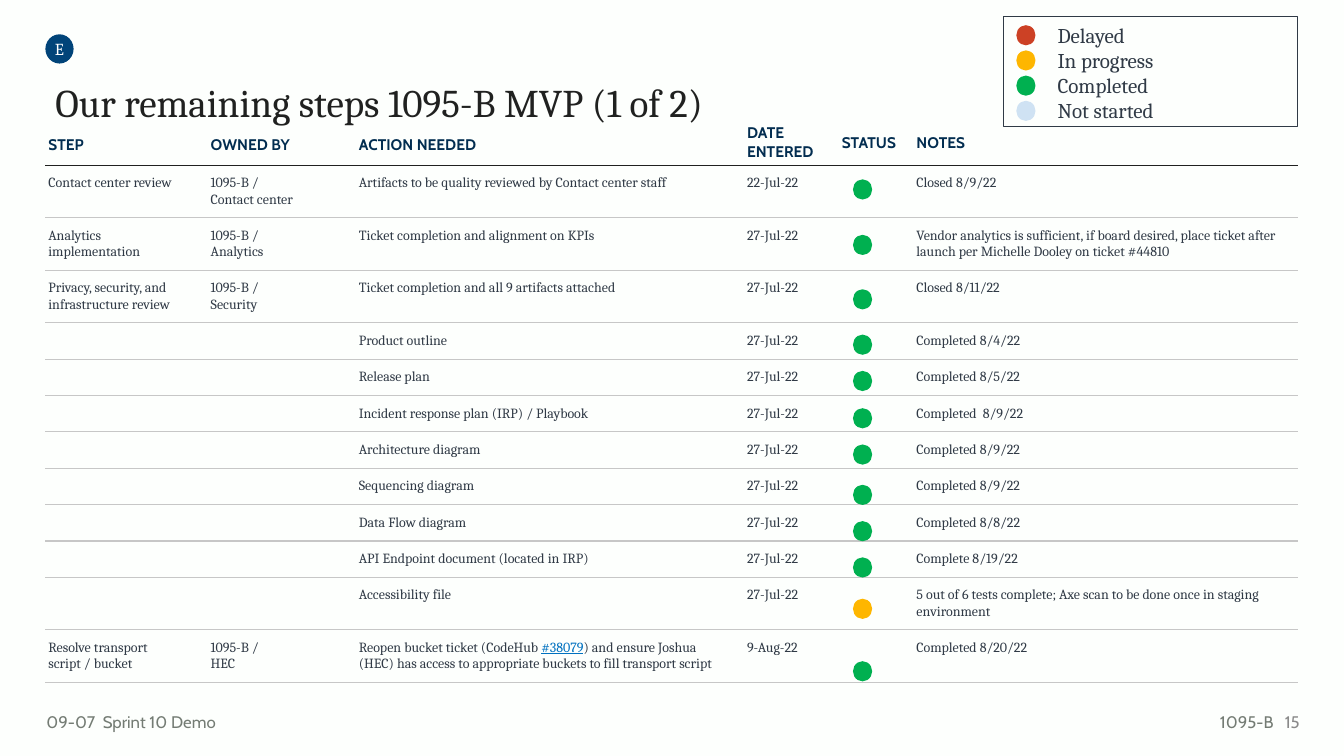
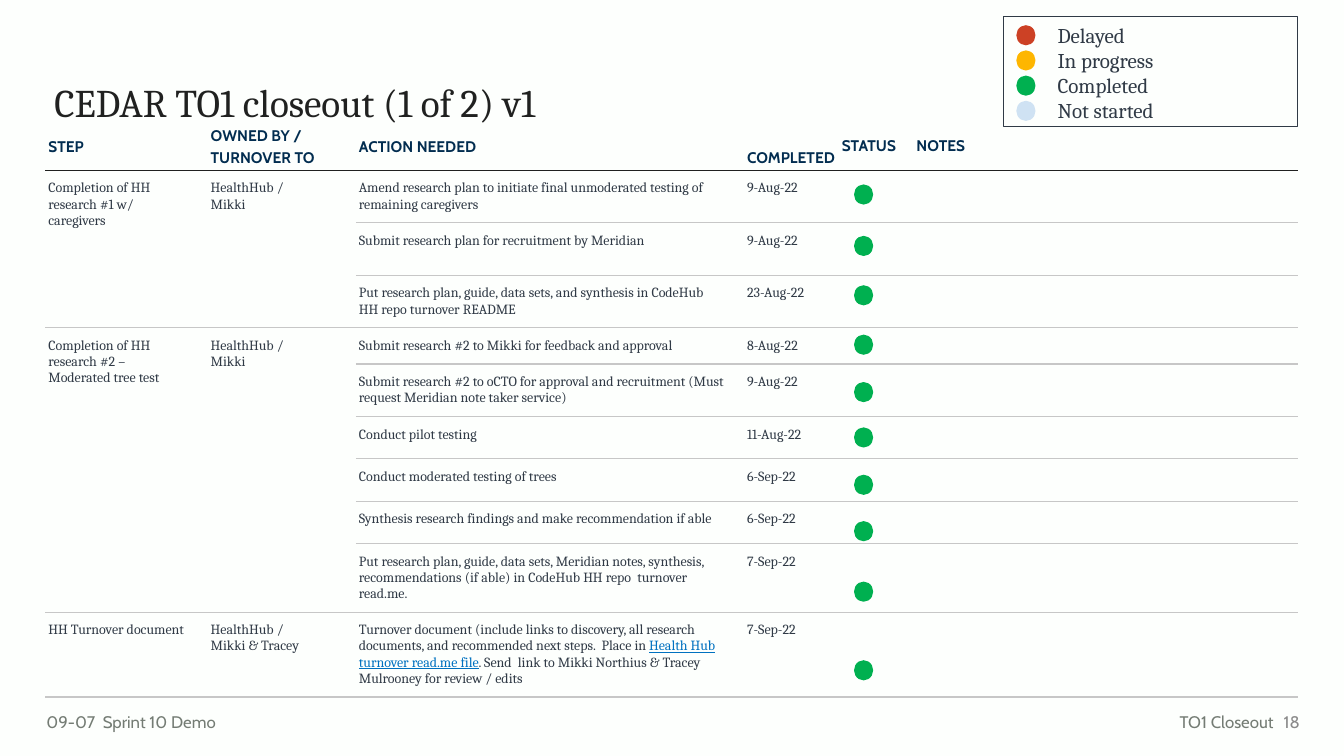
from dataclasses import dataclass
from typing import Optional

from lxml import etree
from pptx import Presentation
from pptx.dml.color import RGBColor
from pptx.enum import shapes, text
from pptx.oxml import ns
from pptx.util import Inches, Pt

COLOURS = {
    "background": "FDFFFD", "title": "202120", "body": "303A46", "header": "022D50",
    "link": "0071C0", "footer": "747C74", "number": "8A8A8A", "badge": "014479",
    "white": "FFFFFF", "rule": "C7C7C7", "delayed": "CC4125", "progress": "FEB600",
    "completed": "00B050", "waiting": "CFE2F3",
}
SERIF, SANS = "Cambria", "Cabin"
LEGEND = {"Delayed": "delayed", "In progress": "progress",
          "Completed": "completed", "Not started": "waiting"}
COLUMN_WIDTHS = (1.61, 1.47, 3.85, 0.94, 0.67, 3.88)
TABLE_LEFT, TABLE_TOP = 0.45, 1.2
NO_GRID_STYLE = "{2D5ABB26-0587-4C30-8999-92F81FD0307C}"
TOP, MIDDLE, BOTTOM = (text.MSO_ANCHOR.TOP, text.MSO_ANCHOR.MIDDLE,
                       text.MSO_ANCHOR.BOTTOM)
LEFT, CENTER, RIGHT = text.PP_ALIGN.LEFT, text.PP_ALIGN.CENTER, text.PP_ALIGN.RIGHT


@dataclass(frozen=True)
class Style:
    size: float
    font: str
    colour: str
    bold: bool = False
    underline: bool = False


TITLE = Style(28, SERIF, "title")
HEADER = Style(11, SANS, "header", bold=True)
BODY = Style(10, SERIF, "body")
LINK = Style(10, SERIF, "link", underline=True)
FOOTER = Style(12, SANS, "footer")
NUMBER = Style(12, SANS, "number")
BADGE = Style(12, SERIF, "white")
LEGEND_TEXT = Style(15, SERIF, "body")


@dataclass(frozen=True)
class Step:
    """One table row; dot_top places its status dot, span merges step and owner down."""
    height: float
    dot_top: float
    action: str
    date: str
    step: str = ""
    owner: str = ""
    notes: str = ""
    status: str = "completed"
    link: str = ""
    span: int = 1


@dataclass(frozen=True)
class StepSlide:
    title: str
    title_left: float
    section: str
    number: str
    owner_header: str
    date_header: str
    date_anchor: text.MSO_ANCHOR
    header_height: float
    dot_left: float
    steps: tuple[Step, ...]
    badge: Optional[str] = None


JULY = "27-Jul-22"
MVP = StepSlide(
    "Our remaining steps 1095-B MVP (1 of 2)", 0.45, "1095-B", "15",
    "OWNED BY", "DATE\nENTERED", TOP, 0.44, 8.46,
    (
        Step(0.52, 1.78, "Artifacts to be quality reviewed by Contact center staff", "22-Jul-22",
             "Contact center review", "1095-B /\nContact center", "Closed 8/9/22"),
        Step(0.52, 2.33, "Ticket completion and alignment on KPIs", JULY,
             "Analytics implementation", "1095-B /\nAnalytics",
             "Vendor analytics is sufficient, if board desired, place ticket after launch "
             "per Michelle Dooley on ticket #44810"),
        Step(0.52, 2.87, "Ticket completion and all 9 artifacts attached", JULY,
             "Privacy, security, and infrastructure review", "1095-B /\nSecurity",
             "Closed 8/11/22"),
        Step(0.36, 3.32, "Product outline", JULY, notes="Completed 8/4/22"),
        Step(0.36, 3.68, "Release plan", JULY, notes="Completed 8/5/22"),
        Step(0.36, 4.05, "Incident response plan (IRP) / Playbook", JULY,
             notes="Completed  8/9/22"),
        Step(0.36, 4.41, "Architecture diagram", JULY, notes="Completed 8/9/22"),
        Step(0.36, 4.81, "Sequencing diagram", JULY, notes="Completed 8/9/22"),
        Step(0.36, 5.17, "Data Flow diagram", JULY, notes="Completed 8/8/22"),
        Step(0.36, 5.53, "API Endpoint document (located in IRP)", JULY,
             notes="Complete 8/19/22"),
        Step(0.52, 5.94, "Accessibility file", JULY, status="progress",
             notes="5 out of 6 tests complete; Axe scan to be done once in staging environment"),
        Step(0.52, 6.56, "Reopen bucket ticket (CodeHub #38079) and ensure Joshua (HEC) "
             "has access to appropriate buckets to fill transport script", "9-Aug-22",
             "Resolve transport script / bucket", "1095-B /\nHEC", "Completed 8/20/22",
             link="#38079"),
    ),
    badge="E",
)
CLOSEOUT = StepSlide(
    "CEDAR TO1 closeout (1 of 2) v1", 0.44, "TO1 Closeout", "18",
    "OWNED BY / TURNOVER TO", "COMPLETED", BOTTOM, 0.48, 8.47,
    (
        Step(0.52, 1.83, "Amend research plan to initiate final unmoderated testing of "
             "remaining caregivers", "9-Aug-22", "Completion of HH research #1 w/ caregivers",
             "HealthHub /\nMikki", span=3),
        Step(0.52, 2.34, "Submit research plan for recruitment by Meridian", "9-Aug-22"),
        Step(0.52, 2.83, "Put research plan, guide, data sets, and synthesis in CodeHub HH "
             "repo turnover README", "23-Aug-22"),
        Step(0.36, 3.32, "Submit research #2 to Mikki for feedback and approval", "8-Aug-22",
             "Completion of HH research #2 – Moderated tree test", "HealthHub /\nMikki", span=6),
        Step(0.52, 3.79, "Submit research #2 to oCTO for approval and recruitment (Must "
             "request Meridian note taker service)", "9-Aug-22"),
        Step(0.42, 4.24, "Conduct pilot testing", "11-Aug-22"),
        Step(0.42, 4.71, "Conduct moderated testing of trees", "6-Sep-22"),
        Step(0.42, 5.17, "Synthesis research findings and make recommendation if able",
             "6-Sep-22"),
        Step(0.68, 5.77, "Put research plan, guide, data sets, Meridian notes, synthesis, "
             "recommendations (if able) in CodeHub HH repo  turnover read.me.", "7-Sep-22"),
        Step(0.84, 6.55, "Turnover document (include links to discovery, all research "
             "documents, and recommended next steps.  Place in Health Hub turnover read.me "
             "file. Send  link to Mikki Northius & Tracey Mulrooney for review / edits",
             "7-Sep-22", "HH Turnover document", "HealthHub /\nMikki & Tracey",
             link="Health Hub turnover read.me file"),
    ),
)


def rgb(name: str) -> RGBColor:
    return RGBColor.from_string(COLOURS[name])


def add_run(paragraph, content: str, style: Style) -> None:
    run = paragraph.add_run()
    run.text = content
    font = run.font
    font.size, font.name = Pt(style.size), style.font
    font.bold, font.underline = style.bold, style.underline
    font.color.rgb = rgb(style.colour)


def write(frame, content: str, style: Style, align=LEFT, spacing: float = 1.0,
          link: str = "") -> None:
    """Write one paragraph per line, with the link part in the link style."""
    for index, line in enumerate(content.split("\n")):
        paragraph = frame.add_paragraph() if index else frame.paragraphs[0]
        paragraph.alignment, paragraph.line_spacing = align, spacing
        before, found, after = line.partition(link) if link else (line, "", "")
        for part, part_style in ((before, style), (found, LINK), (after, style)):
            if part:
                add_run(paragraph, part, part_style)


def set_margins(box, left: float, top: float, right: float, bottom: float) -> None:
    box.margin_left, box.margin_top = Inches(left), Inches(top)
    box.margin_right, box.margin_bottom = Inches(right), Inches(bottom)


def add_text(slide, left: float, top: float, width: float, height: float, content: str,
             style: Style, align=LEFT, anchor=TOP, margins=(0.1, 0.05, 0.1, 0.05)) -> None:
    box = slide.shapes.add_textbox(*map(Inches, (left, top, width, height)))
    frame = box.text_frame
    frame.word_wrap, frame.vertical_anchor = True, anchor
    set_margins(frame, *margins)
    write(frame, content, style, align)


def add_shape(slide, kind, left: float, top: float, width: float, height: float,
              fill: Optional[str] = None, line: Optional[str] = None):
    shape = slide.shapes.add_shape(kind, *map(Inches, (left, top, width, height)))
    shape.shadow.inherit = False
    if fill:
        shape.fill.solid()
        shape.fill.fore_color.rgb = rgb(fill)
    else:
        shape.fill.background()
    if line:
        shape.line.color.rgb, shape.line.width = rgb(line), Pt(0.75)
    else:
        shape.line.fill.background()
    return shape


def add_dot(slide, left: float, top: float, status: str) -> None:
    add_shape(slide, shapes.MSO_SHAPE.OVAL, left, top, 0.19, 0.2, status)


def set_borders(cell, top: Optional[str], bottom: Optional[str]) -> None:
    properties = cell._tc.get_or_add_tcPr()
    for side, colour in (("L", None), ("R", None), ("T", top), ("B", bottom)):
        line = etree.SubElement(properties, ns.qn(f"a:ln{side}"), w=str(Pt(1)))
        if colour:
            fill = etree.SubElement(line, ns.qn("a:solidFill"))
            etree.SubElement(fill, ns.qn("a:srgbClr"), val=COLOURS[colour])
        else:
            etree.SubElement(line, ns.qn("a:noFill"))


def fill_header(cell, column: int, content: str, anchor) -> None:
    set_margins(cell, 0.1 if column == 5 else 0.03, 0.03, 0.1 if column == 0 else 0, 0.03)
    cell.vertical_anchor = anchor
    write(cell.text_frame, content, HEADER, spacing=1.15 if column < 3 else 1.0)


def fill_body(cell, column: int, content: str, link: str) -> None:
    if not content:
        set_margins(cell, 0, 0, 0, 0)
        cell.text_frame.paragraphs[0].font.size = Pt(BODY.size)
        return
    set_margins(cell, 0.1 if column == 5 else 0.03, 0.1, 0.2 if column < 3 else 0.03, 0.1)
    write(cell.text_frame, content, BODY, link=link)


def add_step_table(slide, page: StepSlide) -> None:
    heights = [page.header_height, *(step.height for step in page.steps)]
    frame = slide.shapes.add_table(
        len(heights), len(COLUMN_WIDTHS), Inches(TABLE_LEFT), Inches(TABLE_TOP),
        Inches(sum(COLUMN_WIDTHS)), Inches(sum(heights)))
    table = frame.table
    table.first_row = table.horz_banding = False
    table._tbl.tblPr.find(ns.qn("a:tableStyleId")).text = NO_GRID_STYLE
    for column, width in zip(table.columns, COLUMN_WIDTHS):
        column.width = Inches(width)
    for row, height in zip(table.rows, heights):
        row.height = Inches(height)
    for row, step in enumerate(page.steps, 1):
        if step.span > 1:
            for column in (0, 1):
                table.cell(row, column).merge(table.cell(row + step.span - 1, column))

    headers = ("STEP", page.owner_header, "ACTION NEEDED", page.date_header, "STATUS", "NOTES")
    for column, content in enumerate(headers):
        cell = table.cell(0, column)
        fill_header(cell, column, content, page.date_anchor if column == 3 else MIDDLE)
        set_borders(cell, None, "title")
        cell.fill.background()
    for row, step in enumerate(page.steps, 1):
        contents = (step.step, step.owner, step.action, step.date, "", step.notes)
        for column, content in enumerate(contents):
            cell = table.cell(row, column)
            fill_body(cell, column, content, step.link if column == 2 else "")
            if not cell.is_spanned:
                set_borders(cell, "title" if row == 1 else "rule", "rule")
            cell.fill.background()


def add_legend(slide) -> None:
    add_shape(slide, shapes.MSO_SHAPE.RECTANGLE, 9.95, 0.16, 2.92, 1.1, line="body")
    for index, status in enumerate(LEGEND.values()):
        add_dot(slide, 10.08, 0.25 + 0.25 * index, status)
    add_text(slide, 10.39, 0.12, 2.48, 1.21, "\n".join(LEGEND), LEGEND_TEXT,
             margins=(0.1, 0.1, 0.1, 0.1))


def add_footer(slide, page: StepSlide) -> None:
    add_text(slide, 0.46, 7.01, 2.98, 0.3, "09-07  Sprint 10 Demo", FOOTER,
             margins=(0, 0.05, 0.1, 0.05))
    add_text(slide, 11.09, 7.01, 1.64, 0.3, page.section, FOOTER, RIGHT)
    add_text(slide, 12.55, 6.96, 0.44, 0.4, page.number, NUMBER, RIGHT, MIDDLE)


def add_step_slide(presentation, page: StepSlide) -> None:
    slide = presentation.slides.add_slide(presentation.slide_layouts[5])
    title = slide.shapes.title
    title.left, title.top = Inches(page.title_left), Inches(0.78)
    title.width, title.height = Inches(8.81), Inches(1.45)
    frame = title.text_frame
    frame.auto_size, frame.vertical_anchor = text.MSO_AUTO_SIZE.NONE, TOP
    set_margins(frame, 0.1, 0.05, 0.1, 0.05)
    write(frame, page.title, TITLE, spacing=0.9)

    add_step_table(slide, page)
    for step in page.steps:
        add_dot(slide, page.dot_left, step.dot_top, step.status)
    add_legend(slide)
    add_footer(slide, page)
    if page.badge:
        badge = add_shape(slide, shapes.MSO_SHAPE.OVAL, 0.45, 0.34, 0.28, 0.29, "badge")
        set_margins(badge.text_frame, 0, 0, 0, 0)
        badge.text_frame.vertical_anchor = MIDDLE
        write(badge.text_frame, page.badge, BADGE, CENTER)


def main() -> None:
    presentation = Presentation()
    presentation.slide_width, presentation.slide_height = Inches(13.33), Inches(7.5)
    background = presentation.slide_master.background.fill
    background.solid()
    background.fore_color.rgb = rgb("background")
    for page in (MVP, CLOSEOUT):
        add_step_slide(presentation, page)
    presentation.save("out.pptx")


if __name__ == "__main__":
    main()
